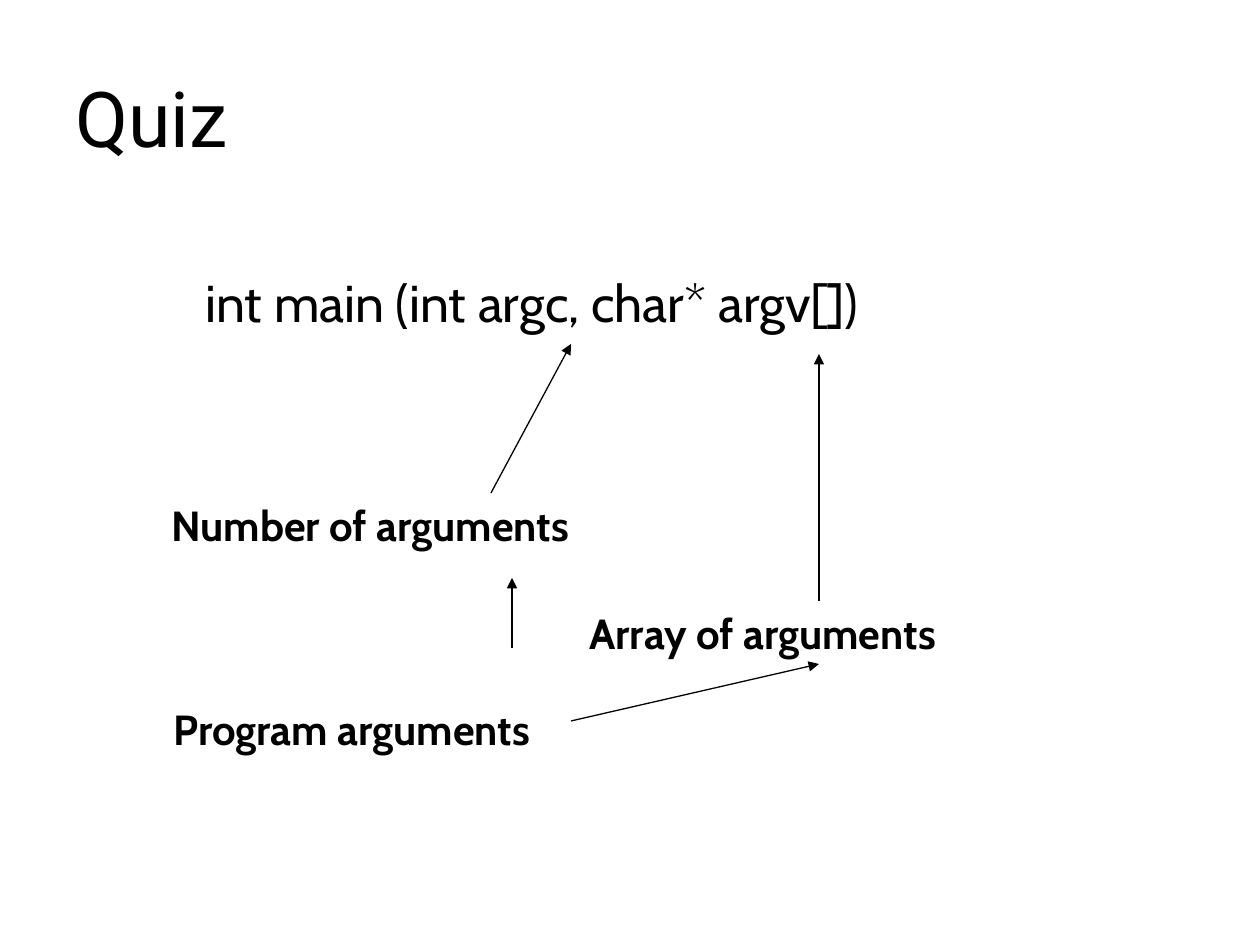
"""Build the quiz slide on the arguments of main."""
import pptx
import pptx.util
import pptx.dml.color
import pptx.enum.shapes
import pptx.enum.text
import pptx.oxml.ns
from lxml import etree

SCALE = 914400 // 126
COLORS = {"ink": "000000"}
LABELS = [
    ("Number of arguments", 159, 493, 494),
    ("Array of arguments", 577, 601, 437),
    ("Program arguments", 161, 697, 451),
]
ARROWS = [
    (491, 493, 571, 344),
    (819, 601, 819, 354),
    (512, 648, 512, 578),
    (571, 721, 819, 664),
]


def px(num):
    """Turn pixels into EMU."""
    return pptx.util.Emu(num * SCALE)


def ink():
    """Return the ink colour."""
    return pptx.dml.color.RGBColor.from_string(COLORS["ink"])


def write(shape, text, size, face, bold=False):
    """Fill a shape with one left-aligned paragraph."""
    frame = shape.text_frame
    frame.word_wrap = True
    frame.text = text
    para = frame.paragraphs[0]
    para.alignment = pptx.enum.text.PP_ALIGN.LEFT
    font = para.font
    font.size = pptx.util.Pt(size)
    font.name = face
    font.bold = bold
    font.color.rgb = ink()


def title(slide, text):
    """Place and format the title."""
    shape = slide.shapes.title
    shape.left, shape.top = px(63), px(38)
    shape.width, shape.height = px(1134), px(157)
    write(shape, text, 44, "Roboto")
    shape.text_frame.vertical_anchor = pptx.enum.text.MSO_ANCHOR.MIDDLE


def label(slide, text, left, top, width, height=63, size=24, bold=True):
    """Add a text box."""
    box = slide.shapes.add_textbox(px(left), px(top), px(width), px(height))
    write(box, text, size, "Cabin", bold)


def arrow(slide, *ends):
    """Add a thin line with a triangle at its end."""
    kind = pptx.enum.shapes.MSO_CONNECTOR.STRAIGHT
    line = slide.shapes.add_connector(kind, *map(px, ends))
    line.line.color.rgb = ink()
    line.line.width = pptx.util.Pt(0.75)
    qn = pptx.oxml.ns.qn
    props = line.line._get_or_add_ln()
    etree.SubElement(props, qn("a:tailEnd"), type="triangle")
    etree.SubElement(props.getparent(), qn("a:effectLst"))


def main():
    """Build and save the slide."""
    deck = pptx.Presentation()
    deck.slide_width, deck.slide_height = px(1260), px(945)
    slide = deck.slides.add_slide(deck.slide_layouts[5])
    title(slide, "Quiz")
    label(slide, "int main (int argc, char* argv[])", 193, 265, 785, 93, 29.6, False)
    for item in LABELS:
        label(slide, *item)
    for ends in ARROWS:
        arrow(slide, *ends)
    deck.save("out.pptx")


if __name__ == "__main__":
    main()
